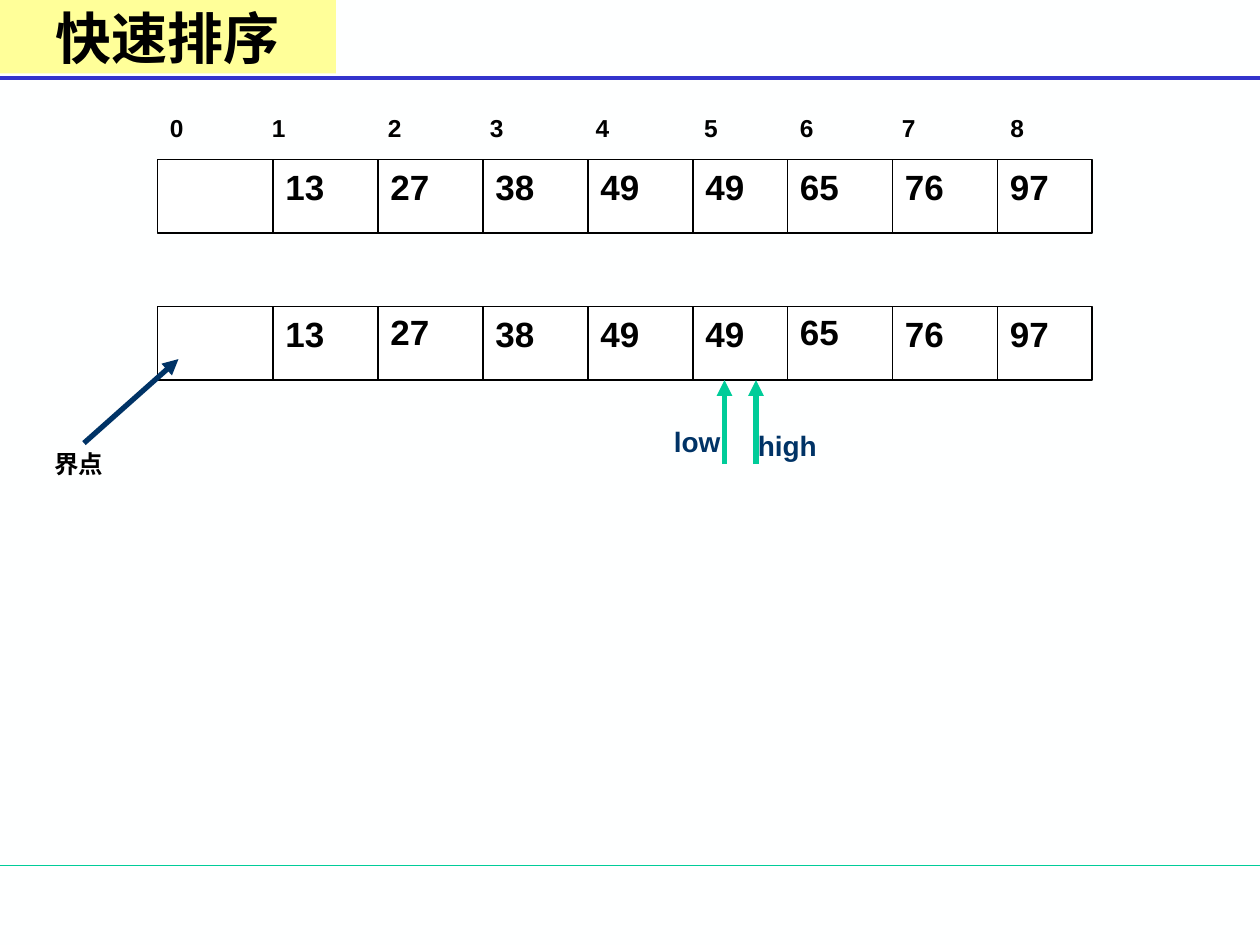
from dataclasses import dataclass
from itertools import accumulate

from lxml import etree
from pptx import Presentation
from pptx.dml.color import RGBColor
from pptx.enum import shapes, text
from pptx.oxml.ns import qn
from pptx.util import Inches, Pt

COLS, ROWS = 120, 90  # grid over the slide, twelve units to the inch
WIDTHS = [11, 10, 10, 10, 10, 9, 10, 10, 9]
EDGES = list(accumulate(WIDTHS, initial=15))
TALL = 7
VALUES = [13, 27, 38, 49, 49, 65, 76, 97]
STOPS = [0.81, 1.73, 2.54, 3.38, 4.24, 5, 5.81, 6.67]  # inches


@dataclass(frozen=True)
class Theme:
    back: str = "FEFFFF"
    cell: str = "FFFFFF"
    ink: str = "000000"
    navy: str = "003366"
    green: str = "00CC99"
    blue: str = "3333CC"
    cream: str = "FFFF99"
    sans: str = "Arial"
    serif: str = "Times New Roman"
    head: int = 32
    value: int = 20
    mark: int = 16
    note: int = 14


T = Theme()


def rgb(code):
    return RGBColor.from_string(code)


def unit(n):
    return Inches(n / 12)


def line(parent, x1, y1, x2, y2, color=T.ink, width=0.75, arrow=False):
    link = parent.shapes.add_connector(
        shapes.MSO_CONNECTOR.STRAIGHT, *map(unit, (x1, y1, x2, y2)))
    link.line.color.rgb = rgb(color)
    link.line.width = Pt(width)
    if arrow:
        tip = etree.SubElement(link.line._get_or_add_ln(), qn("a:tailEnd"))
        tip.set("type", "triangle")
    etree.SubElement(link._element.spPr, qn("a:effectLst"))


def rect(parent, x, y, w, h, fill, edge=None):
    box = parent.shapes.add_shape(
        shapes.MSO_SHAPE.RECTANGLE, *map(unit, (x, y, w, h)))
    box.shadow.inherit = False
    box.fill.solid()
    box.fill.fore_color.rgb = rgb(fill)
    if edge:
        box.line.color.rgb = rgb(edge)
        box.line.width = Pt(0.75)
    else:
        box.line.fill.background()
    return box


def style(para, size, color=T.ink, face=T.sans):
    font = para.font
    font.size, font.bold, font.name = Pt(size), True, face
    font.color.rgb = rgb(color)


def label(parent, words, x, y, w, h, size, color=T.ink, stops=()):
    box = parent.shapes.add_textbox(*map(unit, (x, y, w, h)))
    box.text_frame.word_wrap = True
    para = box.text_frame.paragraphs[0]
    para.text = words
    if stops:
        tabs = etree.SubElement(para._p.get_or_add_pPr(), qn("a:tabLst"))
        for stop in stops:
            etree.SubElement(tabs, qn("a:tab"), pos=str(Inches(stop)), algn="l")
    style(para, size, color)


def frame(slide, top):
    """Draw the empty cells of one array."""
    group = slide.shapes.add_group_shape()
    rect(group, EDGES[0], top, sum(WIDTHS), TALL, T.cell, T.ink)
    for x in EDGES[1:-1]:
        line(group, x, top, x, top + TALL)


def fill(slide, top, raised=()):
    """Write the values; the raised ones sit slightly higher."""
    for x, value in zip(EDGES[1:], VALUES):
        y = top - 0.25 if value in raised else top
        label(slide, str(value), x, y, 8, 5.3, T.value)


def mark(slide, name, x, left, top, base):
    """Draw an index marker: an upward arrow and its name."""
    group = slide.shapes.add_group_shape()
    line(group, x, base + 8, x, base, T.green, 3, True)
    label(group, name, left, top, 11, 4.4, T.mark, T.navy)


def title(slide, words):
    box = rect(slide, 0, 0, 32, TALL, T.cream)
    box.text_frame.vertical_anchor = text.MSO_ANCHOR.MIDDLE
    para = box.text_frame.paragraphs[0]
    para.text = words
    para.alignment = text.PP_ALIGN.CENTER
    style(para, T.head, face=T.serif)


def main():
    deck = Presentation()
    deck.slide_width, deck.slide_height = unit(COLS), unit(ROWS)
    slide = deck.slides.add_slide(deck.slide_layouts[6])
    slide.background.fill.solid()
    slide.background.fill.fore_color.rgb = rgb(T.back)

    line(slide, 0, 82.4, COLS, 82.4, T.green)
    line(slide, 0, 7.4, COLS, 7.4, T.blue, 2.25)

    first, second = 15.2, 29.2
    base = second + TALL
    frame(slide, second)
    frame(slide, first)
    label(slide, "\t".join(map(str, range(len(WIDTHS)))),
          EDGES[0], 10.2, sum(WIDTHS), 4.1, T.note, stops=STOPS)
    fill(slide, first)
    fill(slide, second, raised=(27, 65))

    mark(slide, "high", 72, 71, 40.2, base)
    mark(slide, "low", 69, 63, 39.8, base)
    label(slide, "界点", 4, 42.2, 10, 4.1, T.note)
    line(slide, 8, 42.2, 17, 34.2, T.navy, 3, True)
    title(slide, "快速排序")
    deck.save("out.pptx")


if __name__ == "__main__":
    main()
